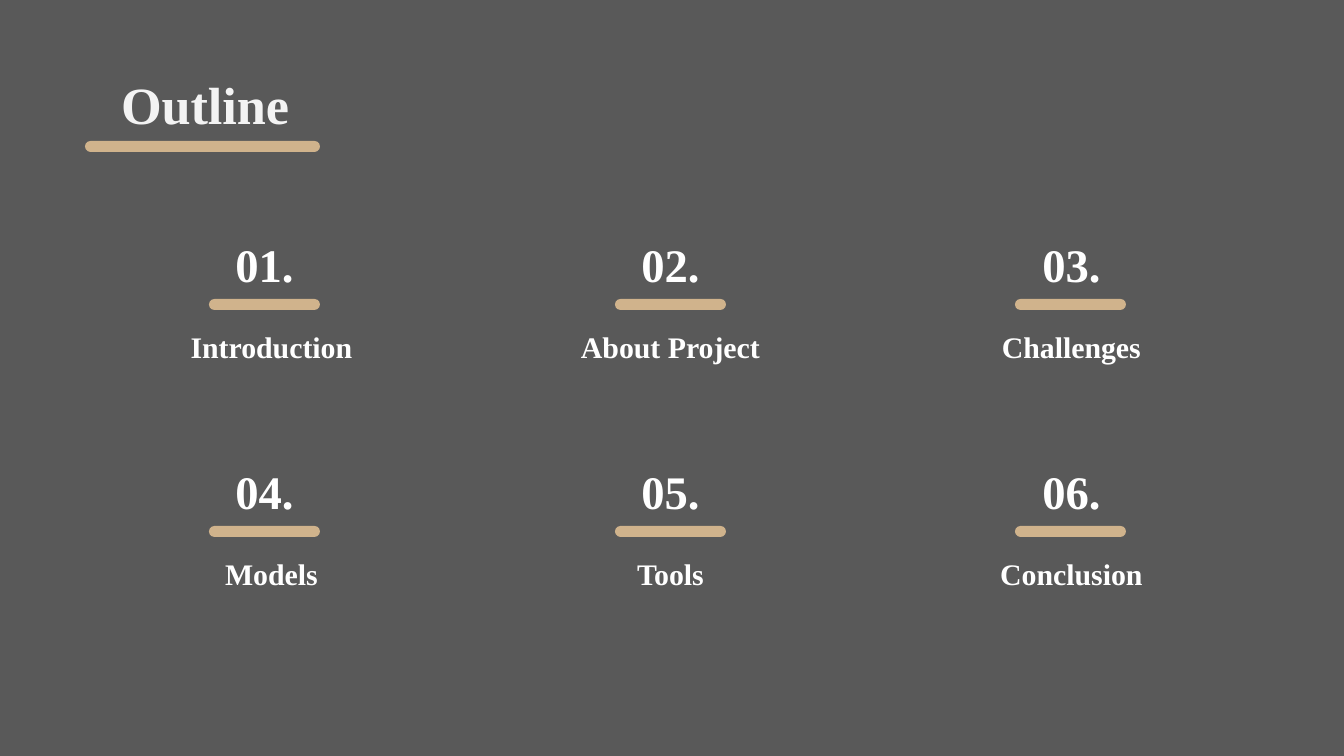
from pptx import Presentation
from pptx.dml.color import RGBColor
from pptx.enum.shapes import MSO_SHAPE
from pptx.enum.text import MSO_ANCHOR, MSO_AUTO_SIZE, PP_ALIGN
from pptx.util import Pt

PX = 6804  # EMU in one px, 134.4 px to the inch
FONT = "Times New Roman"
GREY, TAN, WHITE, OFF_WHITE = "595959", "D0B38C", "FFFFFF", "F3F3F3"

TITLE = "Outline"
SECTIONS = ["Introduction", "About Project", "Challenges",
            "Models", "Tools", "Conclusion"]

# Left edges of the numbers, labels and bars in each column
COLUMNS = [(99, 106, 209), (505, 505, 615), (906, 906, 1015)]
FIRST_ROW, ROW_STEP = 218, 227
LABEL_DROP, BAR_DROP = 95, 81
TEXT_WIDTH, NUMBER_HEIGHT, LABEL_HEIGHT = 331, 54, 137
BAR_WIDTH, TITLE_BAR_WIDTH, BAR_HEIGHT = 111, 235, 11


def px(*lengths):
    return [length * PX for length in lengths]


def rgb(color):
    return RGBColor.from_string(color)


def write(shape, text, size, color, align, top_inset):
    frame = shape.text_frame
    frame.text = text
    frame.word_wrap = True
    frame.auto_size = MSO_AUTO_SIZE.NONE
    frame.vertical_anchor = MSO_ANCHOR.TOP
    frame.margin_left = frame.margin_right = 13 * PX
    frame.margin_top, frame.margin_bottom = px(top_inset, 0)
    paragraph = frame.paragraphs[0]
    paragraph.alignment = align
    font = paragraph.runs[0].font
    font.name, font.size, font.bold = FONT, Pt(size), True
    font.color.rgb = rgb(color)


def add_text(slide, box, text, size, top_inset):
    shape = slide.shapes.add_textbox(*px(*box))
    write(shape, text, size, WHITE, PP_ALIGN.CENTER, top_inset)


def add_bar(slide, left, top, width):
    bar = slide.shapes.add_shape(MSO_SHAPE.ROUNDED_RECTANGLE,
                                 *px(left, top, width, BAR_HEIGHT))
    bar.adjustments[0] = 0.5
    bar.shadow.inherit = False
    bar.fill.solid()
    bar.fill.fore_color.rgb = rgb(TAN)
    bar.line.fill.background()


def main():
    presentation = Presentation()
    presentation.slide_width, presentation.slide_height = px(1344, 756)
    slide = presentation.slides.add_slide(presentation.slide_layouts[5])
    slide.background.fill.solid()
    slide.background.fill.fore_color.rgb = rgb(GREY)

    title = slide.shapes.title
    title.left, title.top, title.width, title.height = px(108, 54, 1130, 84)
    write(title, TITLE, 28, OFF_WHITE, PP_ALIGN.LEFT, 18)
    add_bar(slide, 85, 141, TITLE_BAR_WIDTH)

    for index, section in enumerate(SECTIONS):
        row, column = divmod(index, len(COLUMNS))
        number_left, label_left, bar_left = COLUMNS[column]
        top = FIRST_ROW + row * ROW_STEP
        add_text(slide, (number_left, top, TEXT_WIDTH, NUMBER_HEIGHT),
                 f"{index + 1:02}.", 25, 18)
        add_bar(slide, bar_left, top + BAR_DROP, BAR_WIDTH)
        add_text(slide, (label_left, top + LABEL_DROP, TEXT_WIDTH, LABEL_HEIGHT),
                 section, 16, 16)

    presentation.save("out.pptx")


if __name__ == "__main__":
    main()
